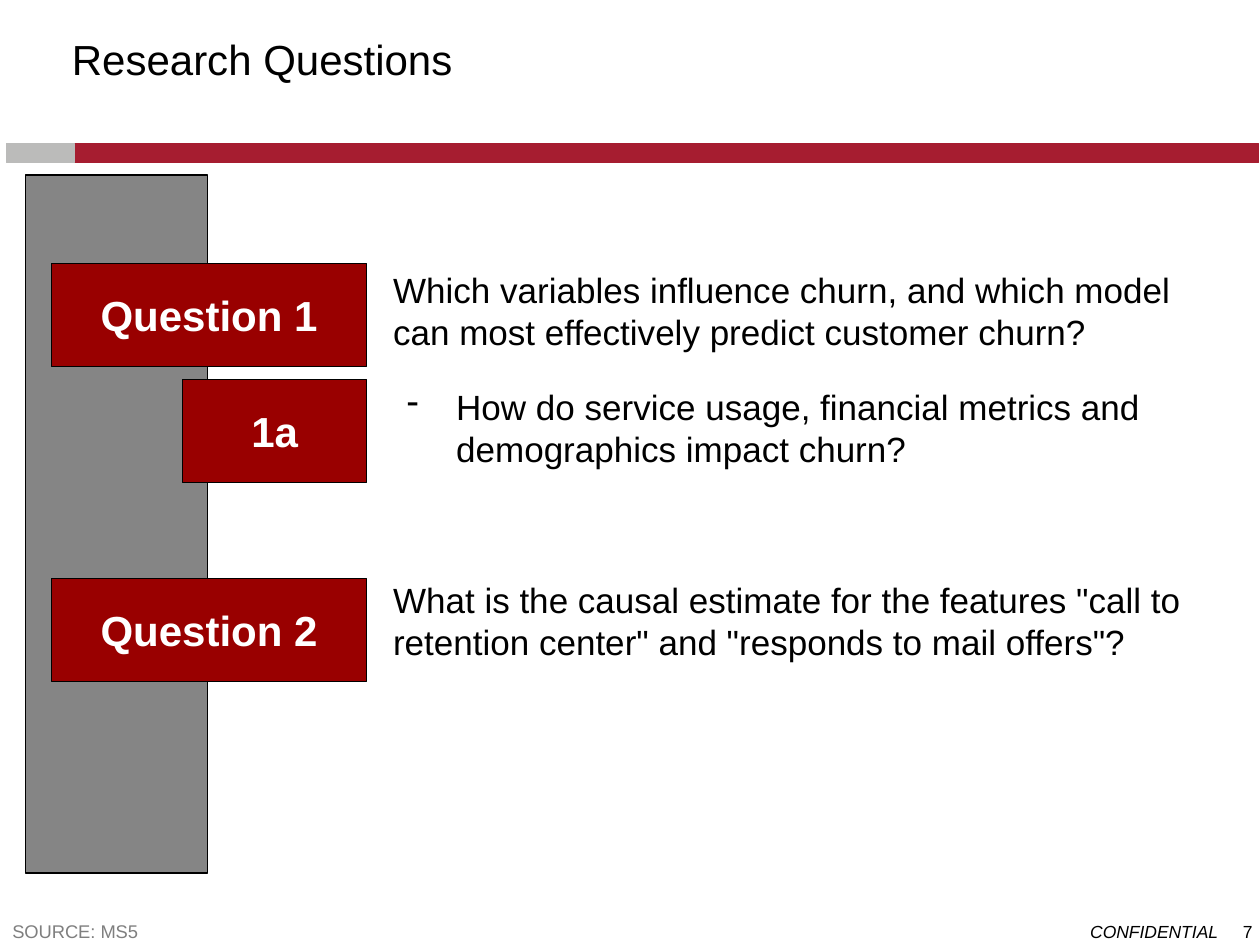
from lxml import etree
from pptx import Presentation
from pptx.dml.color import RGBColor
from pptx.enum.shapes import MSO_SHAPE
from pptx.enum.text import MSO_ANCHOR, PP_ALIGN
from pptx.oxml.ns import qn
from pptx.util import Inches, Pt

RECTANGLE = MSO_SHAPE.RECTANGLE
LEFT, CENTER, RIGHT = PP_ALIGN.LEFT, PP_ALIGN.CENTER, PP_ALIGN.RIGHT
TOP, MIDDLE, BOTTOM = MSO_ANCHOR.TOP, MSO_ANCHOR.MIDDLE, MSO_ANCHOR.BOTTOM
BLACK, WHITE, GREY, CRIMSON = "000000", "FFFFFF", "858585", "990000"
BRAND_RED, BRAND_GREY, SOURCE_GREY = "A61D30", "BBBBBA", "7F7F7F"


def add_block(left, top, width, height, fill, line):
    block = slide.shapes.add_shape(
        RECTANGLE, Inches(left), Inches(top), Inches(width), Inches(height))
    block.shadow.inherit = False
    block.fill.solid()
    block.fill.fore_color.rgb = RGBColor.from_string(fill)
    block.line.color.rgb = RGBColor.from_string(line)
    block.line.width = Pt(0.75)
    return block


def write(shape, text, size=20, color=BLACK, bold=False, italic=False,
          align=LEFT, anchor=TOP, margins=(0, 0), wrap=True):
    """Put one formatted paragraph in the shape; margins are (side, top/bottom)."""
    frame = shape.text_frame
    frame.word_wrap = wrap
    frame.vertical_anchor = anchor
    frame.margin_left = frame.margin_right = Inches(margins[0])
    frame.margin_top = frame.margin_bottom = Inches(margins[1])
    paragraph = frame.paragraphs[0]
    paragraph.alignment = align
    run = paragraph.add_run()
    run.text = text
    run.font.name = "Arial"
    run.font.size = Pt(size)
    run.font.bold = bold
    run.font.italic = italic
    run.font.color.rgb = RGBColor.from_string(color)
    return paragraph


prs = Presentation()
prs.slide_width, prs.slide_height = Inches(10), Inches(7.5)
slide = prs.slides.add_slide(prs.slide_layouts[5])

# Header
title = slide.shapes.title
title.left, title.top = Inches(0.48), Inches(0.23)
title.width, title.height = Inches(9), Inches(0.48)
write(title, "Research Questions", size=24, anchor=BOTTOM, margins=(0.09, 0.04))
add_block(0.58, 1.14, 9.41, 0.15, BRAND_RED, BRAND_RED)
add_block(0.05, 1.14, 0.54, 0.15, BRAND_GREY, BRAND_GREY)

# Questions: label, label left, label top, text top, text width, is sub-question
add_block(0.2, 1.39, 1.45, 5.54, GREY, BLACK)
label_right, row_height = 2.91, 0.82
questions = [
    ("Question 1", 0.41, 2.09, 2.13, 6.3, False,
     "Which variables influence churn, and which model can most effectively "
     "predict customer churn?"),
    ("1a", 1.45, 3.01, 3.06, 6.75, True,
     "How do service usage, financial metrics and demographics impact churn?"),
    ("Question 2", 0.41, 4.59, 4.59, 6.3, False,
     'What is the causal estimate for the features "call to retention center" '
     'and "responds to mail offers"?'),
]
for label, left, top, text_top, text_width, is_sub, question in questions:
    block = add_block(left, top, label_right - left, row_height, CRIMSON, BLACK)
    write(block, label, size=24, color=WHITE, bold=True, align=CENTER, anchor=MIDDLE)
    question_box = slide.shapes.add_textbox(
        Inches(3.12), Inches(text_top), Inches(text_width), Inches(row_height))
    paragraph = write(question_box, question)
    if is_sub:
        properties = paragraph._p.get_or_add_pPr()
        properties.set("marL", str(Inches(0.5)))
        properties.set("indent", str(Inches(-0.39)))
        etree.SubElement(properties, qn("a:buChar")).set("char", "-")

# Footer
source = slide.shapes.add_textbox(Inches(0), Inches(7.25), Inches(9.74), Inches(0.28))
write(source, "SOURCE: MS5", size=10.5, color=SOURCE_GREY, anchor=BOTTOM,
      margins=(0.1, 0.05))
notice = slide.shapes.add_textbox(Inches(8.54), Inches(7.31), Inches(1.24), Inches(0.17))
write(notice, "CONFIDENTIAL", size=10, italic=True, align=CENTER)
page_number = slide.shapes.add_textbox(
    Inches(9.77), Inches(7.31), Inches(0.21), Inches(0.17))
write(page_number, "7 ", size=10, align=RIGHT)

prs.save("out.pptx")
